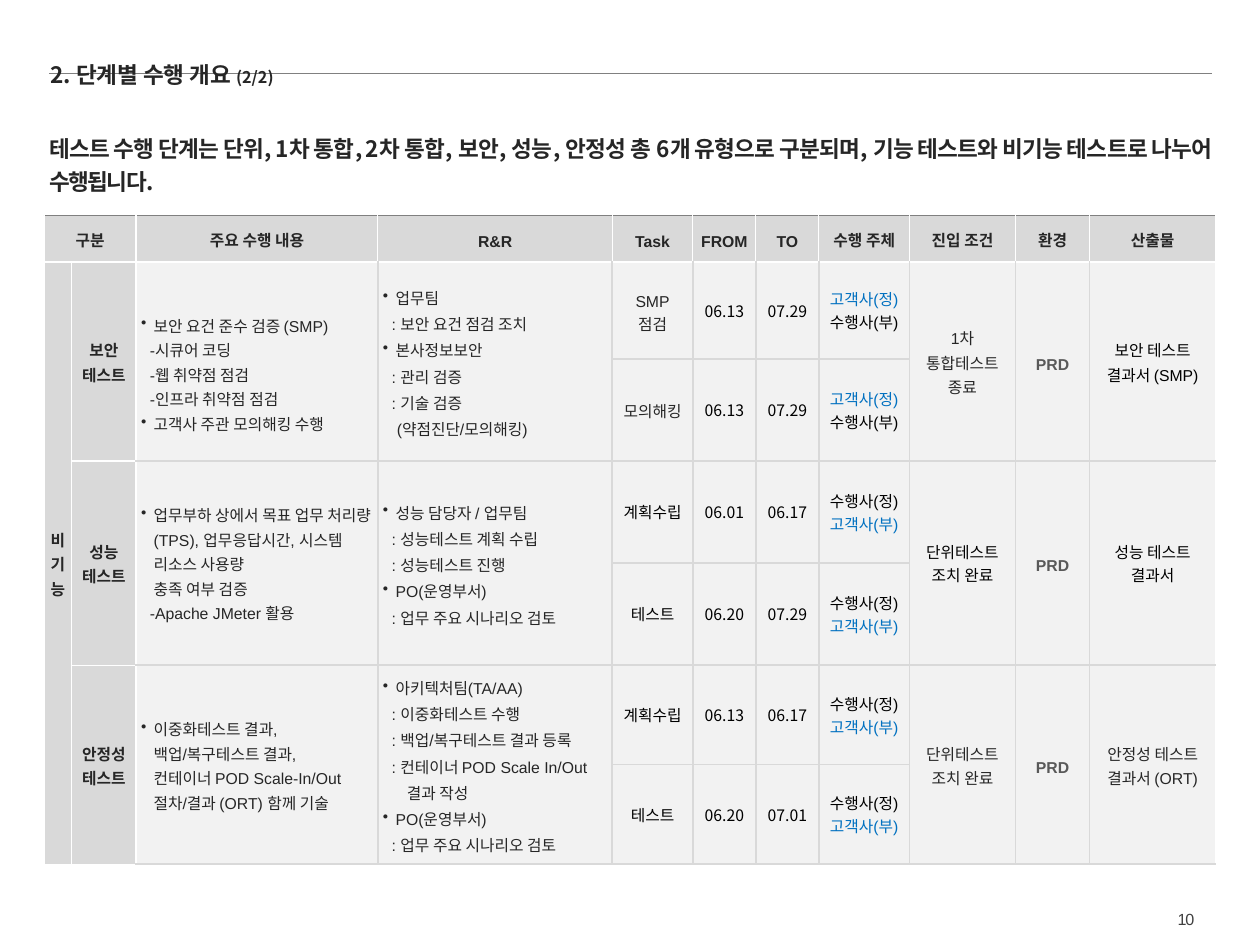
from dataclasses import dataclass, replace

from lxml import etree
from pptx import Presentation, util as u
from pptx.dml.color import RGBColor
from pptx.enum import dml, shapes, text
from pptx.oxml import ns

INK = RGBColor(0x26, 0x26, 0x26)
BLACK = RGBColor(0, 0, 0)
WHITE = RGBColor(0xFF, 0xFF, 0xFF)
BLUE = RGBColor(0x00, 0x70, 0xC0)
DARK = RGBColor(0x40, 0x40, 0x40)
MEDIUM = RGBColor(0x59, 0x59, 0x59)
RULE = RGBColor(0x80, 0x80, 0x80)
HEAD = RGBColor(0xD9, 0xD9, 0xD9)
BODY = RGBColor(0xF2, 0xF2, 0xF2)
KOREAN = "Noto Sans CJK KR"
LEFT, CENTER, RIGHT, JUSTIFY = (text.PP_ALIGN.LEFT, text.PP_ALIGN.CENTER,
                                text.PP_ALIGN.RIGHT, text.PP_ALIGN.JUSTIFY)


@dataclass(frozen=True)
class Look:
    size: float = 9
    font: str = "Arial"
    color: RGBColor = INK
    bold: bool = False
    align: int = CENTER
    leading: object = u.Pt(14)
    tracking: int = 0


PLAIN = Look()
STRONG = Look(bold=True)
HEADLINE = Look(12.9, KOREAN, bold=True, align=LEFT, leading=None)
LEAD = replace(HEADLINE, align=JUSTIFY, leading=u.Pt(18.5), tracking=-80)
DATE = Look(font=KOREAN, color=BLACK, leading=None)
OWNER = Look(color=BLACK, leading=None)
WORK = Look(align=LEFT)
ROLE = Look(align=LEFT, leading=u.Pt(15))
INDENTS = {"bullet": (0.1, -0.1), "dash": (0.07, 0), "colon": (0.19, -0.12),
           "note": (0.11, 0), "plain": (0, 0)}


class Deck:
    def __init__(self):
        self.presentation = Presentation()
        self.presentation.slide_width = u.Inches(10)
        self.presentation.slide_height = u.Inches(7.5)
        self.column = self.presentation.slide_width / 100
        self.row = self.presentation.slide_height / 75
        self.slide = self.presentation.slides.add_slide(self.presentation.slide_layouts[5])

    def place(self, left, top, width, height):
        return (round(left * self.column), round(top * self.row),
                round(width * self.column), round(height * self.row))

    def add_words(self, paragraph, words, look):
        for index, part in enumerate(words.split("\n")):
            if index:
                paragraph.add_line_break()
            run = paragraph.add_run()
            run.text = part
            run.font.size = u.Pt(look.size)
            run.font.bold = look.bold
            run.font.color.rgb = look.color
            run.font.name = look.font
            properties = run.font._element
            etree.SubElement(properties, ns.qn("a:ea"), typeface=KOREAN)
            if look.tracking:
                properties.set("spc", str(look.tracking))

    def add_lines(self, frame, lines):
        for index, (kind, words, look) in enumerate(lines):
            paragraph = frame.add_paragraph() if index else frame.paragraphs[0]
            paragraph.alignment = look.align
            if look.leading:
                paragraph.line_spacing = look.leading
            properties = paragraph._p.get_or_add_pPr()
            margin, indent = INDENTS[kind]
            properties.set("marL", str(u.Inches(margin)))
            properties.set("indent", str(u.Inches(indent)))
            if kind == "bullet":
                etree.SubElement(properties, ns.qn("a:buChar"), char="•")
            self.add_words(paragraph, words, look)

    def title(self, box, words, page):
        shape = self.slide.shapes.title
        shape.left, shape.top, shape.width, shape.height = self.place(*box)
        frame = shape.text_frame
        frame.auto_size = text.MSO_AUTO_SIZE.NONE
        frame.vertical_anchor = text.MSO_ANCHOR.TOP
        self.add_lines(frame, [("plain", words, HEADLINE)])
        self.add_words(frame.paragraphs[0], page, replace(HEADLINE, size=9.2))

    def text_box(self, box, words, look, inset, wrap=True):
        frame = self.slide.shapes.add_textbox(*self.place(*box)).text_frame
        frame.word_wrap = wrap
        frame.margin_left = frame.margin_right = u.Inches(inset)
        frame.margin_top = frame.margin_bottom = u.Inches(inset)
        self.add_lines(frame, [("plain", words, look)])

    def rule(self, left, right, top):
        x, y, width, _ = self.place(left, top, right - left, 0)
        line = self.slide.shapes.add_connector(shapes.MSO_CONNECTOR.STRAIGHT, x, y, x + width, y)
        line.line.color.rgb = RULE
        line.line.width = u.Pt(0.25)
        line.line.dash_style = dml.MSO_LINE.ROUND_DOT
        etree.SubElement(line._element.spPr, ns.qn("a:effectLst"))
        self.slide.shapes._spTree.insert(2, line._element)

    def table(self, left, top, columns, rows):
        box = self.place(left, top, sum(columns), sum(rows))
        table = self.slide.shapes.add_table(len(rows), len(columns), *box).table
        table.horz_banding = False
        for column, width in zip(table.columns, columns):
            column.width = round(width * self.column)
        for row, height in zip(table.rows, rows):
            row.height = round(height * self.row)
        for r in range(len(rows)):
            for c in range(len(columns)):
                self.frame_cell(table.cell(r, c), r, c, len(columns) - 1)
        return table

    def frame_cell(self, cell, r, c, last):
        header, label = r == 0, c < 2
        edges = {"L": WHITE if header or c < 3 else HEAD,
                 "R": WHITE if header or label or c == last else HEAD,
                 "T": RULE if header else WHITE if r == 1 or label else HEAD,
                 "B": WHITE if header or label else HEAD}
        properties = cell._tc.get_or_add_tcPr()
        for side, color in edges.items():
            width = u.Pt(0.75 if color == WHITE else 1)
            line = etree.SubElement(properties, ns.qn("a:ln" + side), w=str(width))
            fill = etree.SubElement(line, ns.qn("a:solidFill"))
            etree.SubElement(fill, ns.qn("a:srgbClr"), val=str(color))
        cell.fill.solid()
        cell.fill.fore_color.rgb = HEAD if header or label else BODY
        cell.vertical_anchor = text.MSO_ANCHOR.MIDDLE
        cell.margin_left = cell.margin_right = u.Inches(0.04)
        cell.margin_top = cell.margin_bottom = u.Inches(0.02)

    def cell(self, table, r, c, lines, rows=1, columns=1):
        cell = table.cell(r, c)
        if rows * columns > 1:
            cell.merge(table.cell(r + rows - 1, c + columns - 1))
        self.add_lines(cell.text_frame, lines)


def plain(look, *words):
    return [("plain", part, look) for part in words]


def styled(look, *lines):
    return [(kind, words, look) for kind, words in lines]


HEADERS = ["구분", None, "주요 수행 내용", "R&R", "Task", "FROM", "TO",
           "수행 주체", "진입 조건", "환경", "산출물"]
CLIENT_FIRST = [("plain", "고객사(정)", replace(OWNER, color=BLUE)), ("plain", "수행사(부)", OWNER)]
VENDOR_FIRST = [("plain", "수행사(정)", OWNER), ("plain", "고객사(부)", replace(OWNER, color=BLUE))]
REVIEW = [("bullet", "PO(운영부서)"), ("colon", ": 업무 주요 시나리오 검토")]
PHASES = [
    dict(name="보안",
         work=styled(WORK, ("bullet", "보안 요건 준수 검증 (SMP)"), ("dash", "-시큐어 코딩"),
                     ("dash", "-웹 취약점 점검"), ("dash", "-인프라 취약점 점검"),
                     ("bullet", "고객사 주관 모의해킹 수행")),
         roles=styled(ROLE, ("bullet", "업무팀"), ("colon", ": 보안 요건 점검 조치"),
                      ("bullet", "본사정보보안"), ("colon", ": 관리 검증"),
                      ("colon", ": 기술 검증"), ("note", "(약점진단/모의해킹)")),
         tasks=[(plain(PLAIN, "SMP", "점검"), "06.13", "07.29"),
                (plain(PLAIN, "모의해킹"), "06.13", "07.29")],
         owners=CLIENT_FIRST, entry=plain(PLAIN, "1차", "통합테스트", "종료"),
         output=plain(replace(PLAIN, color=BLACK), "보안 테스트", "결과서 (SMP)")),
    dict(name="성능",
         work=styled(WORK, ("bullet", "업무부하 상에서 목표 업무 처리량(TPS), 업무응답시간, "
                            "시스템 리소스 사용량\n충족 여부 검증"), ("dash", "-Apache JMeter 활용")),
         roles=styled(ROLE, ("bullet", "성능 담당자 / 업무팀"), ("colon", ": 성능테스트 계획 수립"),
                      ("colon", ": 성능테스트 진행"), *REVIEW),
         tasks=[(plain(DATE, "계획수립"), "06.01", "06.17"),
                (plain(DATE, "테스트"), "06.20", "07.29")],
         owners=VENDOR_FIRST, entry=plain(DATE, "단위테스트\n조치 완료"),
         output=plain(DATE, "성능 테스트", "결과서")),
    dict(name="안정성",
         work=styled(WORK, ("bullet", "이중화테스트 결과,\n백업/복구테스트 결과,\n"
                            "컨테이너 POD Scale-In/Out 절차/결과 (ORT) 함께 기술")),
         roles=styled(ROLE, ("bullet", "아키텍처팀(TA/AA)"), ("colon", ": 이중화테스트 수행"),
                      ("colon", ": 백업/복구테스트 결과 등록"),
                      ("colon", ": 컨테이너 POD Scale In/Out 결과 작성"), *REVIEW),
         tasks=[(plain(DATE, "계획수립"), "06.13", "06.17"),
                (plain(DATE, "테스트"), "06.20", "07.01")],
         owners=VENDOR_FIRST, entry=plain(PLAIN, "단위테스트", "조치 완료"),
         output=plain(PLAIN, "안정성 테스트 결과서 (ORT)")),
]


def main():
    deck = Deck()
    deck.rule(3.9, 96.1, 5.8)
    deck.title((3, 4.3, 91.1, 3.3), "2. 단계별 수행 개요 ", "(2/2)")
    table = deck.table(3.5, 17.1, [2.2, 5.1, 19.2, 18.6, 6.4, 5, 5, 7.2, 8.4, 5.9, 10],
                       [3.7, 7.7, 8.1, 8.1, 8.1, 7.9, 7.9])
    for c, words in enumerate(HEADERS):
        if words:
            deck.cell(table, 0, c, plain(STRONG, words), columns=1 if c else 2)
    deck.cell(table, 1, 0, plain(STRONG, "비기", "능"), rows=6)
    for top, phase in zip(range(1, 7, 2), PHASES):
        shared = {1: plain(STRONG, phase["name"], "테스트"), 2: phase["work"], 3: phase["roles"],
                  8: phase["entry"], 9: plain(replace(STRONG, color=MEDIUM), "PRD"),
                  10: phase["output"]}
        for c, lines in shared.items():
            deck.cell(table, top, c, lines, rows=2)
        for r, (task, start, end) in enumerate(phase["tasks"], top):
            for c, lines in enumerate([task, plain(DATE, start), plain(DATE, end), phase["owners"]], 4):
                deck.cell(table, r, c, lines)
    table.cell(1, 2).margin_top = u.Inches(0.21)
    deck.text_box((3.5, 9.9, 93, 5.5), "테스트 수행 단계는 단위, 1차 통합, 2차 통합, 보안, 성능, 안정성 총 6개 "
                  "유형으로 구분되며, 기능 테스트와 비기능 테스트로 나누어 수행됩니다.", LEAD, 0.04)
    deck.text_box((93.4, 72, 1.4, 1.6), "10",
                  Look(9.2, color=DARK, align=RIGHT, leading=1.1, tracking=-60), 0, wrap=False)
    deck.presentation.save("out.pptx")


if __name__ == "__main__":
    main()
